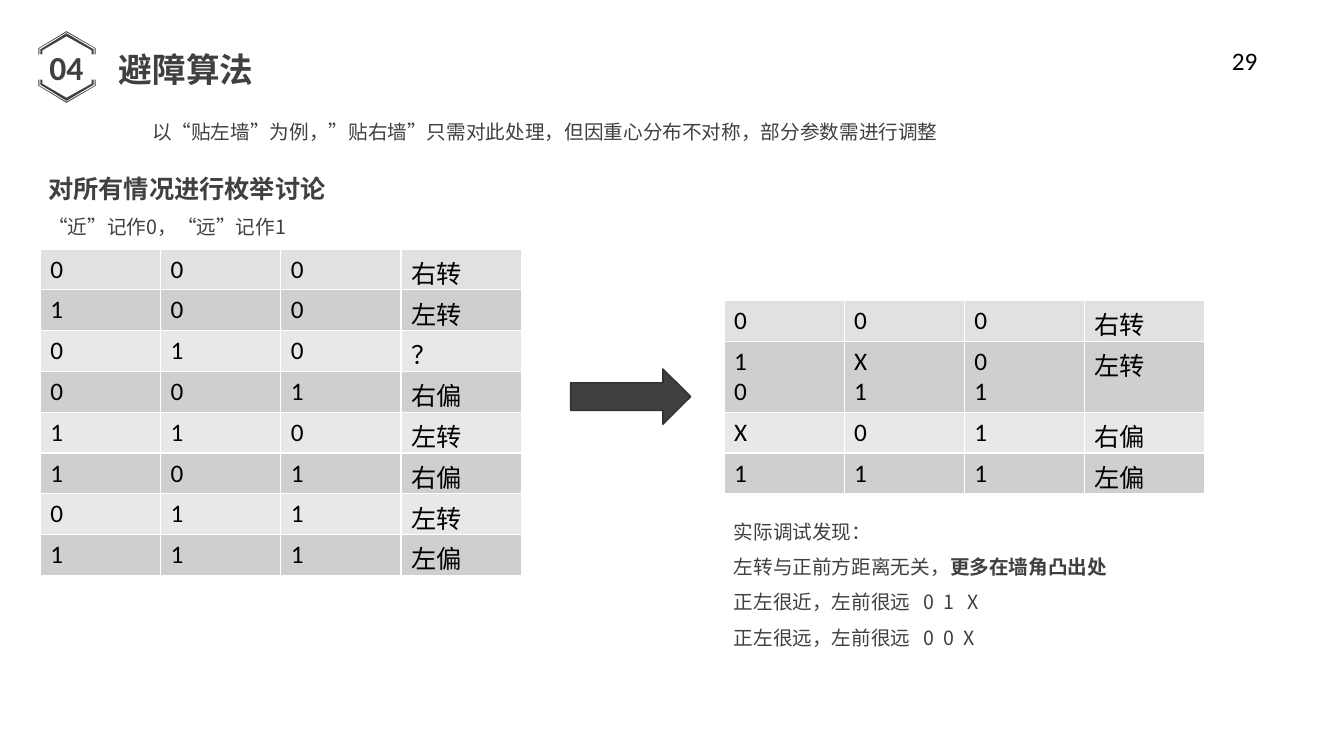
import pptx
import pptx.dml.color
import pptx.enum.shapes
import pptx.enum.text
import pptx.oxml
import pptx.oxml.ns
import pptx.util
from lxml import etree

Inches = pptx.util.Inches
Pt = pptx.util.Pt
RGBColor = pptx.dml.color.RGBColor
ALIGN = pptx.enum.text.PP_ALIGN
ANCHOR = pptx.enum.text.MSO_ANCHOR
SHAPE = pptx.enum.shapes.MSO_SHAPE
qn = pptx.oxml.ns.qn

DARK = RGBColor(0x40, 0x40, 0x40)
EDGE = RGBColor(0x2F, 0x2F, 0x2F)
BLACK = RGBColor(0, 0, 0)
WHITE = RGBColor(0xFF, 0xFF, 0xFF)
HEADER = RGBColor(0xE1, 0xE1, 0xE1)
BAND_DARK = RGBColor(0xCF, 0xCF, 0xCF)
BAND_LIGHT = RGBColor(0xE8, 0xE8, 0xE8)

LATIN = "Calibri"
CJK = "Noto Sans CJK SC"

TITLE = {"name": CJK, "size": Pt(24), "bold": True}
BADGE = {"name": LATIN, "size": Pt(24), "bold": True}
HEADING = {"name": CJK, "size": Pt(18), "bold": True}
BODY = {"name": CJK, "size": Pt(14), "bold": False}
STRONG = {"name": CJK, "size": Pt(14), "bold": True}
PLAIN = {"name": LATIN, "size": Pt(18)}

# Distances: left, front-left, front, then the action
ALL_CASES = ["0 0 0 右转", "1 0 0 左转", "0 1 0 ？", "0 0 1 右偏",
             "1 1 0 左转", "1 0 1 右偏", "0 1 1 左转", "1 1 1 左偏"]
MERGED_CASES = ["0 0 0 右转", "1/0 X/1 0/1 左转", "X 0 1 右偏", "1 1 1 左偏"]
TABLE_W = 4.77
ROW_H = 3.24 / len(ALL_CASES)
LINE_H = 0.3

# Upper half of the hexagon badge; the lower half mirrors it
BADGE_TOP, BADGE_BOTTOM = 0.31, 1.02
THIN_EDGE = [(0.38, 0.54), (0.38, 0.48), (0.66, 0.31), (0.95, 0.48), (0.95, 0.54),
             (0.94, 0.54), (0.94, 0.48), (0.66, 0.32), (0.39, 0.48), (0.39, 0.54)]
THICK_EDGE = [(0.42, 0.54), (0.42, 0.5), (0.66, 0.36), (0.91, 0.5), (0.91, 0.54),
              (0.93, 0.54), (0.93, 0.49), (0.66, 0.33), (0.4, 0.49), (0.4, 0.54)]


def add_run(p, text, style, color):
    r = p.add_run()
    r.text = text
    for name, value in style.items():
        setattr(r.font, name, value)
    r.font.color.rgb = color
    ea = etree.SubElement(r.font._element, qn("a:ea"))
    ea.set("typeface", CJK)


def add_text(slide, box, paragraphs, align, spacing=None, color=DARK,
             wrap=True, anchor=ANCHOR.TOP):
    """Each paragraph is a list of (text, style) runs."""
    tf = slide.shapes.add_textbox(*map(Inches, box)).text_frame
    tf.word_wrap = wrap
    tf.vertical_anchor = anchor
    for i, runs in enumerate(paragraphs):
        p = tf.add_paragraph() if i else tf.paragraphs[0]
        p.alignment = align
        p.line_spacing = spacing
        for text, style in runs:
            add_run(p, text, style, color)
    return tf


def add_tab_stops(p, positions):
    tabs = etree.SubElement(p._p.get_or_add_pPr(), qn("a:tabLst"))
    for pos in positions:
        etree.SubElement(tabs, qn("a:tab"), pos=str(Inches(pos)), algn="l")


def set_borders(cell):
    tcPr = cell._tc.get_or_add_tcPr()
    for i, side in enumerate(("lnL", "lnR", "lnT", "lnB")):
        ln = etree.Element(qn("a:" + side), w=str(Pt(1)))
        fill = etree.SubElement(ln, qn("a:solidFill"))
        etree.SubElement(fill, qn("a:srgbClr"), val=str(WHITE))
        tcPr.insert(i, ln)


def add_cases(slide, left, top, cases):
    rows = [case.split() for case in cases]
    table = slide.shapes.add_table(
        len(rows), 4, Inches(left), Inches(top),
        Inches(TABLE_W), Inches(len(rows) * ROW_H)).table
    for col in table.columns:
        col.width = Inches(TABLE_W / 4)
    for i, row in enumerate(rows):
        extra = row[0].count("/") * LINE_H
        table.rows[i].height = Inches(ROW_H + extra)
        band = HEADER if i == 0 else BAND_DARK if i % 2 else BAND_LIGHT
        for j, entry in enumerate(row):
            cell = table.cell(i, j)
            cell.fill.solid()
            cell.fill.fore_color.rgb = band
            set_borders(cell)
            tf = cell.text_frame
            for k, text in enumerate(entry.split("/")):
                p = tf.add_paragraph() if k else tf.paragraphs[0]
                add_run(p, text, PLAIN, BLACK)


def add_outline(slide, points):
    corners = [(Inches(x), Inches(y)) for x, y in points]
    builder = slide.shapes.build_freeform(*corners[0])
    builder.add_line_segments(corners[1:], close=True)
    sp = builder.convert_to_shape()
    sp.shadow.inherit = False
    sp.fill.solid()
    sp.fill.fore_color.rgb = DARK
    sp.line.fill.background()


def add_arrow(slide, box):
    sp = slide.shapes.add_shape(SHAPE.RIGHT_ARROW, *map(Inches, box))
    sp.shadow.inherit = False
    sp.fill.solid()
    sp.fill.fore_color.rgb = DARK
    sp.line.color.rgb = EDGE
    sp.line.width = Pt(1)


def main():
    prs = pptx.Presentation()
    prs.slide_width, prs.slide_height = Inches(13.33), Inches(7.5)
    slide = prs.slides.add_slide(prs.slide_layouts[6])

    # Title with numbered badge
    add_text(slide, (1.07, 0.44, 1.55, 0.5), [[("避障算法", TITLE)]],
             ALIGN.CENTER, wrap=False)
    add_text(slide, (0.28, 0.37, 0.76, 0.6), [[("04", BADGE)]],
             ALIGN.CENTER, anchor=ANCHOR.MIDDLE)
    for edge in (THIN_EDGE, THICK_EDGE):
        add_outline(slide, edge)
        add_outline(slide, [(x, BADGE_TOP + BADGE_BOTTOM - y) for x, y in edge])

    # Introduction
    add_text(slide, (1.41, 1.02, 8.56, 0.41),
             [[("以“贴左墙”为例，”贴右墙”只需对此处理，但因重心分布不对称，部分参数需进行调整", BODY)]],
             ALIGN.JUSTIFY, 1.5)
    add_text(slide, (0.38, 1.52, 3.14, 0.87),
             [[("对所有情况进行枚举讨论", HEADING)],
              [("“近”记作0，“远”记作1", BODY)]], ALIGN.JUSTIFY, 1.5)

    # All cases, reduced to the merged ones
    add_cases(slide, 0.4, 2.47, ALL_CASES)
    add_arrow(slide, (5.66, 3.66, 1.19, 0.55))
    add_cases(slide, 7.18, 2.98, MERGED_CASES)

    # Findings from testing
    tf = add_text(slide, (7.18, 4.99, 4.34, 1.47),
                  [[("实际调试发现：", BODY)],
                   [("左转与正前方距离无关，", BODY), ("更多在墙角凸出处", STRONG)],
                   [("正左很近，左前很远\t0\t1\tX", BODY)],
                   [("正左很远，左前很远\t0\t0\tX", BODY)]], ALIGN.JUSTIFY, 1.5)
    for p, last_stop in zip(tf.paragraphs[2:], (2.32, 2.28)):
        add_tab_stops(p, (1.88, 2.08, last_stop))

    # Page number
    add_text(slide, (12.12, 0.4, 0.57, 0.4), [[("29", PLAIN)]],
             ALIGN.LEFT, color=BLACK)
    prs.save("out.pptx")


if __name__ == "__main__":
    main()
